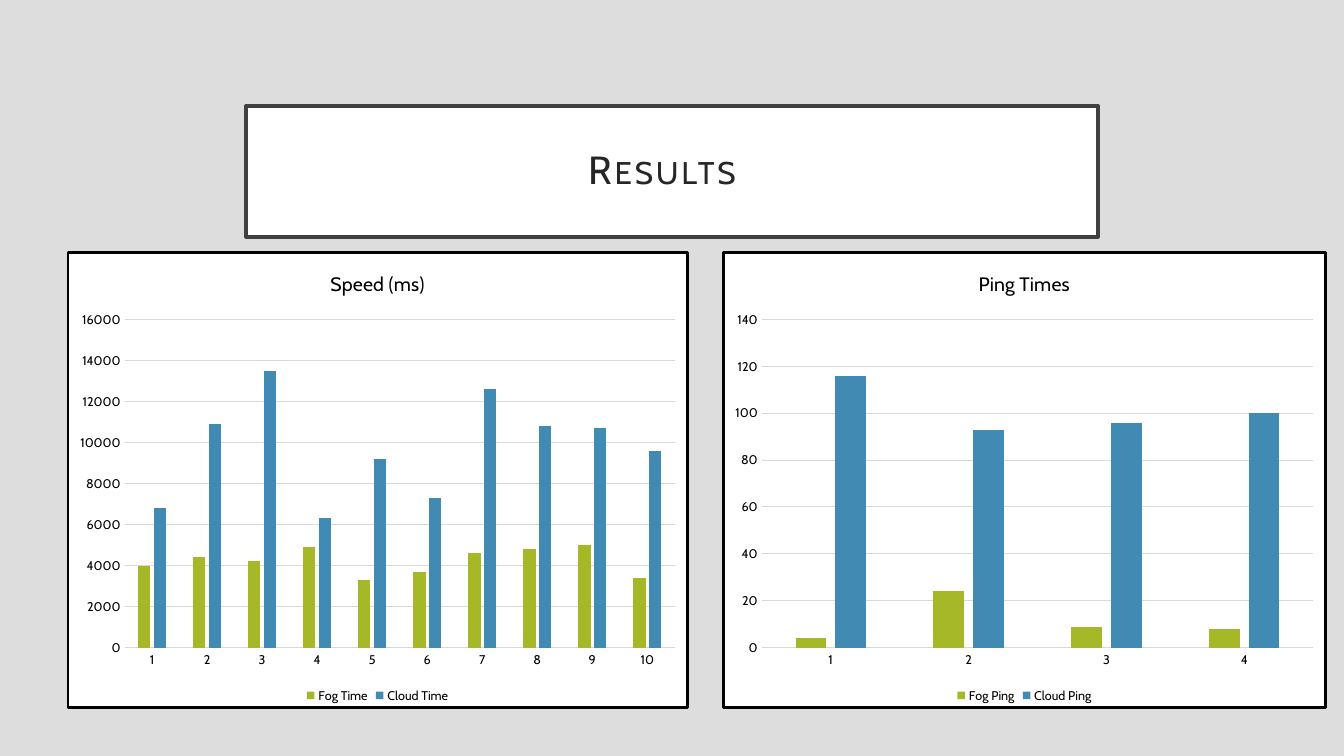
"""Build the Results slide comparing fog and cloud speed and ping times."""
import pptx
import pptx.chart.data
import pptx.dml.color
import pptx.enum.chart
import pptx.enum.text
import pptx.oxml
import pptx.util
from pptx.util import Inches, Pt

FONT = "Cabin"
COLORS = {
    "background": "DDDDDD", "panel": "FFFFFF", "title_border": "404040",
    "title": "262626", "text": "000000", "grid": "D9D9D9",
    "fog": "A6B727", "cloud": "418AB3",
}
HEADING = "Results"
RESULTS = [
    {"title": "Speed (ms)", "left": 0.66, "width": 6.17, "top_value": 16000, "step": 2000,
     "series": [
         ("Fog Time", "fog", [4000, 4400, 4200, 4900, 3300, 3700, 4600, 4800, 5000, 3400]),
         ("Cloud Time", "cloud",
          [6800, 10900, 13500, 6300, 9200, 7300, 12600, 10800, 10700, 9600]),
     ]},
    {"title": "Ping Times", "left": 7.16, "width": 6, "top_value": 140, "step": 20,
     "series": [
         ("Fog Ping", "fog", [4, 24, 9, 8]),
         ("Cloud Ping", "cloud", [116, 93, 96, 100]),
     ]},
]
CHART_TOP, CHART_HEIGHT = 2.49, 4.54
PANEL_XML = (
    '<c:spPr xmlns:c="http://schemas.openxmlformats.org/drawingml/2006/chart" '
    'xmlns:a="http://schemas.openxmlformats.org/drawingml/2006/main">'
    '<a:solidFill><a:srgbClr val="{panel}"/></a:solidFill>'
    '<a:ln w="25400"><a:solidFill><a:srgbClr val="{text}"/></a:solidFill></a:ln></c:spPr>'
)


def rgb(name):
    return pptx.dml.color.RGBColor.from_string(COLORS[name])


def paint(fill, name):
    fill.solid()
    fill.fore_color.rgb = rgb(name)


def style_font(font, size, color="text"):
    font.name, font.size, font.bold = FONT, Pt(size), False
    font.color.rgb = rgb(color)


def style_line(line, color, width):
    line.color.rgb = rgb(color)
    line.width = Pt(width)


def add_heading(slide):
    heading = slide.shapes.title
    heading.left, heading.top = Inches(2.44), Inches(1.05)
    heading.width, heading.height = Inches(8.45), Inches(1.3)
    paint(heading.fill, "panel")
    style_line(heading.line, "title_border", 2.5)
    frame = heading.text_frame
    frame.text = HEADING
    frame.word_wrap = True
    frame.auto_size = pptx.enum.text.MSO_AUTO_SIZE.NONE
    frame.vertical_anchor = pptx.enum.text.MSO_ANCHOR.MIDDLE
    frame.margin_left = frame.margin_right = Inches(0.2)
    frame.margin_top = frame.margin_bottom = Inches(0.2)
    paragraph = frame.paragraphs[0]
    paragraph.alignment = pptx.enum.text.PP_ALIGN.CENTER
    paragraph.line_spacing = 0.9
    font = paragraph.runs[0].font
    style_font(font, 28, "title")
    properties = paragraph.runs[0].font._element
    properties.set("cap", "small")
    properties.set("spc", "200")


def add_result(slide, result):
    data = pptx.chart.data.CategoryChartData()
    data.categories = [str(n + 1) for n in range(len(result["series"][0][2]))]
    for name, _, values in result["series"]:
        data.add_series(name, values)
    chart = slide.shapes.add_chart(
        pptx.enum.chart.XL_CHART_TYPE.COLUMN_CLUSTERED,
        Inches(result["left"]), Inches(CHART_TOP),
        Inches(result["width"]), Inches(CHART_HEIGHT), data).chart
    style_font(chart.font, 10)
    chart._chartSpace.chart.addnext(pptx.oxml.parse_xml(PANEL_XML.format(**COLORS)))

    chart.has_title = True
    chart.chart_title.include_in_layout = False
    caption = chart.chart_title.text_frame
    caption.text = result["title"]
    style_font(caption.paragraphs[0].runs[0].font, 14)

    chart.has_legend = True
    chart.legend.position = pptx.enum.chart.XL_LEGEND_POSITION.BOTTOM
    chart.legend.include_in_layout = False
    style_font(chart.legend.font, 9)

    for axis in (chart.category_axis, chart.value_axis):
        axis.major_tick_mark = axis.minor_tick_mark = pptx.enum.chart.XL_TICK_MARK.NONE
        style_font(axis.tick_labels.font, 9)
    style_line(chart.category_axis.format.line, "grid", 0.75)
    scale = chart.value_axis
    scale.minimum_scale, scale.maximum_scale = 0, result["top_value"]
    scale.major_unit = result["step"]
    scale.format.line.fill.background()
    style_line(scale.major_gridlines.format.line, "grid", 0.75)

    plot = chart.plots[0]
    plot.gap_width, plot.overlap, plot.vary_by_categories = 219, -27, False
    for columns, (_, color, _) in zip(plot.series, result["series"]):
        paint(columns.format.fill, color)


deck = pptx.Presentation()
deck.slide_width, deck.slide_height = Inches(13.33), Inches(7.5)
results_slide = deck.slides.add_slide(deck.slide_layouts[5])
paint(results_slide.background.fill, "background")
add_heading(results_slide)
for result in RESULTS:
    add_result(results_slide, result)
deck.save("out.pptx")
